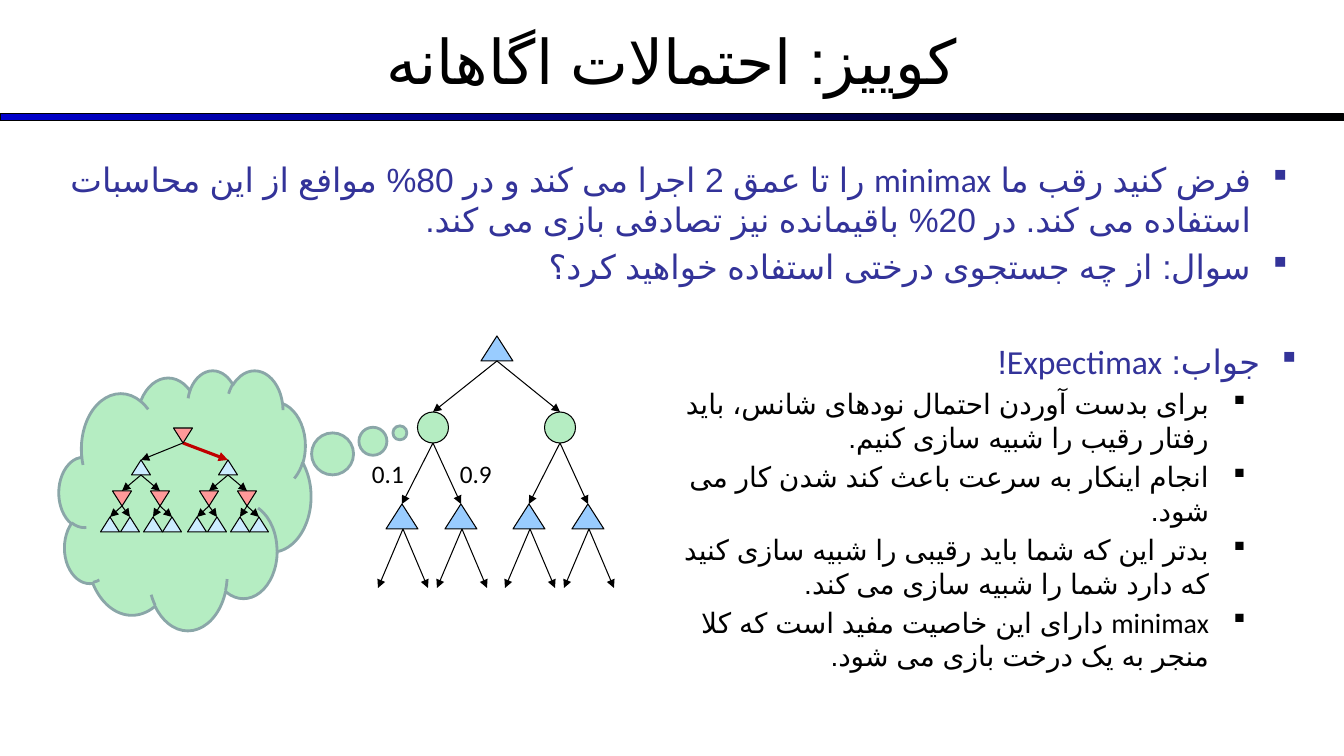
from lxml import etree
from pptx import Presentation
from pptx.dml.color import RGBColor
from pptx.enum.lang import MSO_LANGUAGE_ID
from pptx.enum.shapes import MSO_CONNECTOR, MSO_SHAPE
from pptx.enum.text import MSO_ANCHOR, PP_ALIGN
from pptx.oxml.ns import qn
from pptx.util import Pt

PX = 914400 / 100.8
TRIANGLE, CIRCLE = MSO_SHAPE.ISOSCELES_TRIANGLE, MSO_SHAPE.OVAL
CLOUD, RECTANGLE = MSO_SHAPE.CLOUD_CALLOUT, MSO_SHAPE.RECTANGLE
STRAIGHT = MSO_CONNECTOR.STRAIGHT
LEFT, CENTER, RIGHT = PP_ALIGN.LEFT, PP_ALIGN.CENTER, PP_ALIGN.RIGHT
TOP, MIDDLE = MSO_ANCHOR.TOP, MSO_ANCHOR.MIDDLE
PERSIAN = MSO_LANGUAGE_ID.FARSI

COLORS = {
    "black": "000000", "bar": "0000CC", "indigo": "333399",
    "mint": "B5EDC2", "cloud_edge": "8AA6A8", "chosen": "C00000",
    "sky": "99CCFF", "pale": "CCECFF", "pink": "FF9999",
}


def px(length):
    return round(length * PX)


def rgb(name):
    return RGBColor.from_string(COLORS[name])


class SlideBuilder:
    font, complex_font = "Calibri", "Arial"

    def __init__(self, page):
        self.page = page

    def shape(self, kind, left, top, width, height, fill, edge="black", weight=0.75):
        shape = self.page.shapes.add_shape(kind, px(left), px(top), px(width), px(height))
        shape.shadow.inherit = False
        shape.fill.solid()
        shape.fill.fore_color.rgb = rgb(fill)
        shape.line.color.rgb = rgb(edge)
        shape.line.width = Pt(weight)
        return shape

    def node(self, kind, center, top, size, fill, flipped=False):
        width, height = size
        node = self.shape(kind, center - width / 2, top, width, height, fill)
        if flipped:
            node.rotation = 180

    def arrow(self, start, end, color="black", weight=0.75):
        arrow = self.page.shapes.add_connector(STRAIGHT, *map(px, start + end))
        arrow.line.color.rgb = rgb(color)
        arrow.line.width = Pt(weight)
        etree.SubElement(arrow.line._get_or_add_ln(), qn("a:tailEnd"), type="triangle")
        etree.SubElement(arrow._element.spPr, qn("a:effectLst"))

    def text(self, left, top, width, height, lines, anchor=TOP):
        box = self.page.shapes.add_textbox(px(left), px(top), px(width), px(height))
        frame = box.text_frame
        frame.word_wrap = True
        frame.vertical_anchor = anchor
        frame.text = "\n".join(line[0] for line in lines)
        for para, (_, size, color, align) in zip(frame.paragraphs, lines):
            para.alignment = align
            for span in para.runs:
                span.font.size = Pt(size)
                span.font.name = self.font
                span.font.color.rgb = rgb(color)
                span.font.language_id = PERSIAN
                etree.SubElement(span.font._element, qn("a:cs"), typeface=self.complex_font)
        return frame

    def bullets(self, left, top, width, height, items):
        """Right-to-left list; items are (level, wording)."""
        styles = [(24, "indigo", 37), (20, "black", 88)]
        lines = [(wording, *styles[level][:2], RIGHT) for level, wording in items]
        frame = self.text(left, top, width, height, lines)
        for index, (para, (level, _)) in enumerate(zip(frame.paragraphs, items)):
            size, color, indent = styles[level]
            para.level = level
            props = para._p.get_or_add_pPr()
            props.set("rtl", "1")
            props.set("marL", str(px(indent)))
            props.set("indent", str(px(-37)))
            tint = etree.SubElement(props, qn("a:buClr"))
            etree.SubElement(tint, qn("a:srgbClr"), val=COLORS[color])
            # Wingdings draws this character as a small square
            etree.SubElement(props, qn("a:buFont"), typeface="Wingdings", charset="2")
            etree.SubElement(props, qn("a:buChar"), char="§")
            if index:
                para.space_before = Pt(size * 0.2)


def draw_opponent_tree(slide):
    size = (19, 15)
    root, root_top, min_top, max_top, leaf_top = 183, 428, 460, 491, 517
    for child, color, weight in ((141, "black", 0.75), (228, "chosen", 2.25)):
        slide.arrow((root, root_top + 15), (child, min_top), color, weight)
        slide.node(TRIANGLE, child, min_top, size, "pale")
        for step, leaf_steps in ((-19, (-12, 8)), (19, (-7, 12))):
            reply = child + step
            slide.node(TRIANGLE, reply, max_top, size, "pink", flipped=True)
            slide.arrow((child, min_top + 15), (reply, max_top))
            for leaf_step in leaf_steps:
                slide.node(TRIANGLE, reply + leaf_step, leaf_top, size, "pale")
                slide.arrow((reply, max_top + 15), (reply + leaf_step, leaf_top))
    slide.node(TRIANGLE, root, root_top, size, "pink", flipped=True)


def draw_expectimax_tree(slide):
    size = (32, 25)
    root, root_top, chance_top, max_top, end = 497, 336, 412, 504, 588
    slide.node(TRIANGLE, root, root_top, size, "sky")
    for chance in (433, 560):
        slide.arrow((root, root_top + 25), (chance, chance_top))
        for step in (-31, 28):
            reply = chance + step
            slide.arrow((chance, chance_top + 31), (reply, max_top))
            slide.node(TRIANGLE, reply, max_top, size, "sky")
            for spread in (-25, 25):
                slide.arrow((reply + 1, max_top + 25), (reply + 1 + spread, end))
        slide.node(CIRCLE, chance, chance_top, (31, 31), "mint")


def main():
    deck = Presentation()
    deck.slide_width, deck.slide_height = px(1344), px(756)
    slide = SlideBuilder(deck.slides.add_slide(deck.slide_layouts[6]))

    # Title and gradient bar
    bar = slide.shape(RECTANGLE, 0, 114, 1344, 7, "bar")
    bar.fill.gradient()
    bar.fill.gradient_angle = 0
    for stop, color, position in zip(bar.fill.gradient_stops, ("bar", "black"), (0, 1)):
        stop.color.rgb = rgb(color)
        stop.position = position
    slide.text(0, -3, 1344, 126, [("کوییز: احتمالات اگاهانه", 44, "black", CENTER)], MIDDLE)

    # Question
    slide.bullets(44, 154, 1254, 150, [
        (0, "فرض کنید رقب ما minimax را تا عمق 2 اجرا می کند و در 80% موافع از این "
            "محاسبات استفاده می کند. در 20% باقیمانده نیز تصادفی بازی می کند."),
        (0, "سوال: از چه جستجوی درختی استفاده خواهید کرد؟"),
    ])

    # Thought cloud with the opponent's search
    cloud = slide.shape(CLOUD, 59, 370, 252, 260, "mint", "cloud_edge", 2)
    cloud.adjustments[0], cloud.adjustments[1] = 0.853, -0.258
    draw_opponent_tree(slide)

    # Probabilities beside the chance node
    for left, chance in ((362, "0.1"), (450, "0.9")):
        slide.text(left, 453, 60, 40, [(chance, 18, "black", LEFT)])

    # Answer
    slide.bullets(655, 336, 652, 356, [
        (0, "جواب: Expectimax!"),
        (1, "برای بدست آوردن احتمال نودهای شانس، باید رفتار رقیب را شبیه سازی کنیم."),
        (1, "انجام اینکار به سرعت باعث کند شدن کار می شود."),
        (1, "بدتر این که شما باید رقیبی را شبیه سازی کنید که دارد شما را شبیه سازی می کند."),
        (1, "minimax دارای این خاصیت مفید است که کلا منجر به یک درخت بازی می شود."),
    ])
    draw_expectimax_tree(slide)

    deck.save("out.pptx")


if __name__ == "__main__":
    main()
